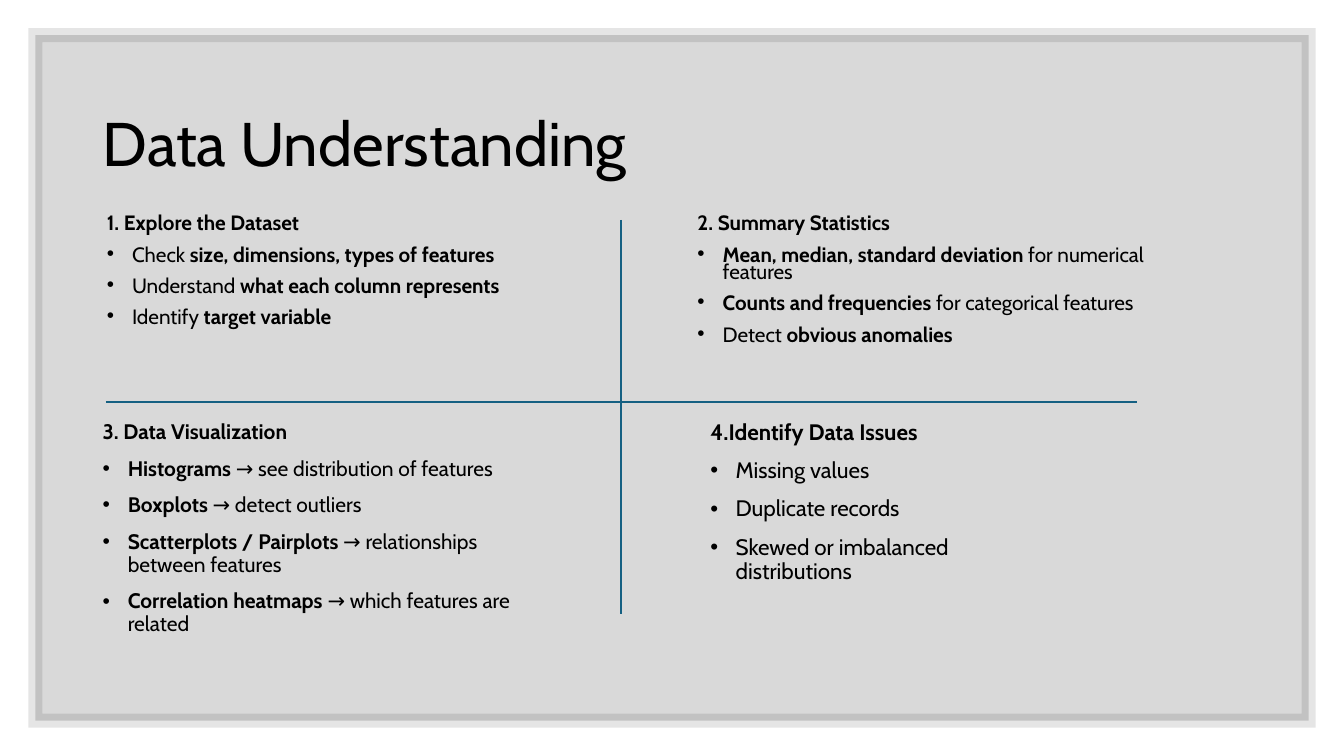
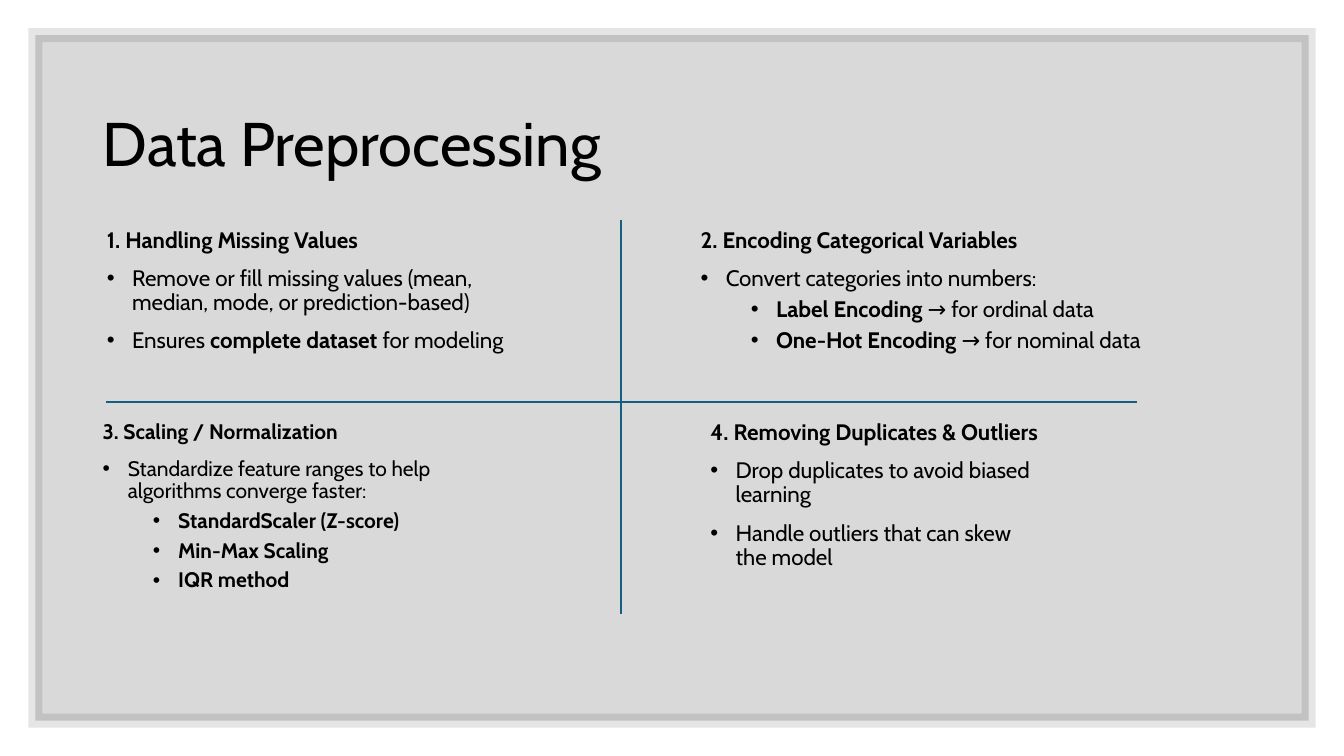
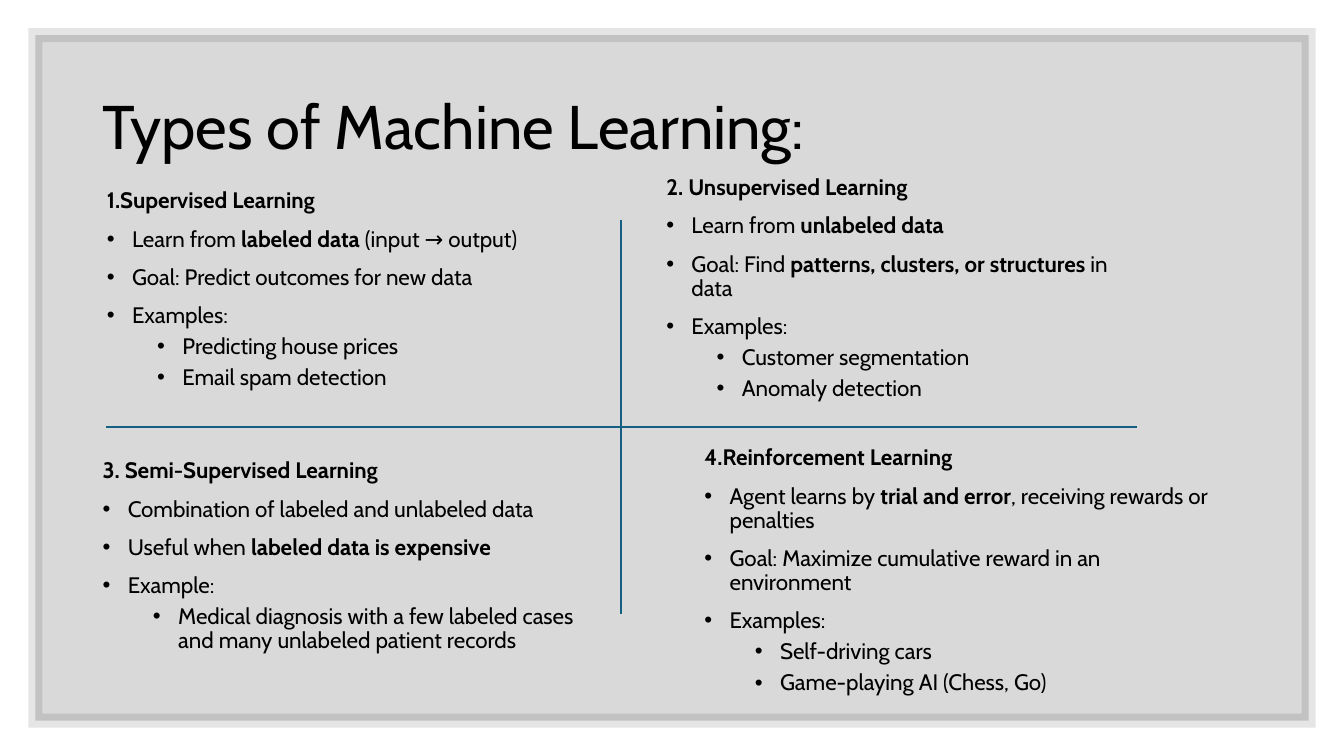
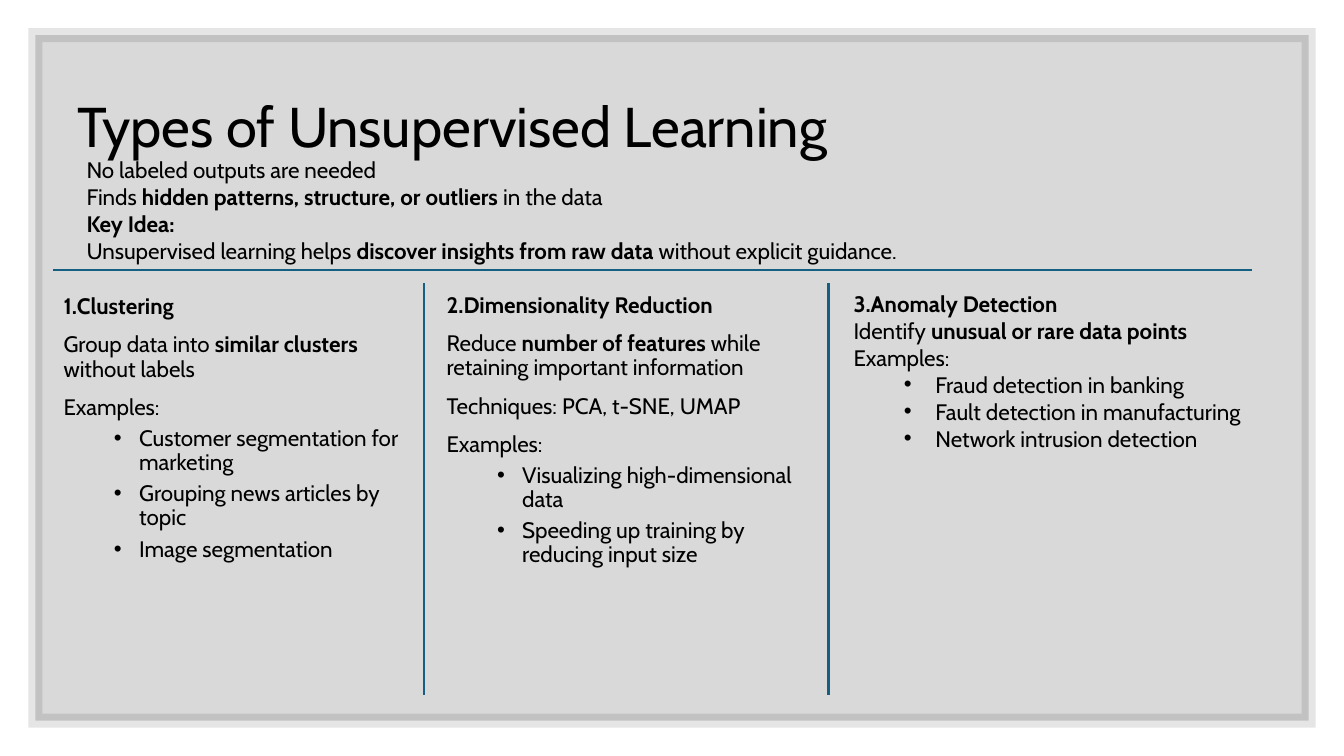
from dataclasses import dataclass

from pptx import Presentation
from pptx.dml.color import RGBColor
from pptx.enum.shapes import MSO_CONNECTOR, MSO_SHAPE
from pptx.enum.text import MSO_ANCHOR, MSO_AUTO_SIZE, PP_ALIGN
from pptx.oxml.ns import qn
from pptx.util import Pt

RECT, STRAIGHT = MSO_SHAPE.RECTANGLE, MSO_CONNECTOR.STRAIGHT
LEFT, TOP, MIDDLE = PP_ALIGN.LEFT, MSO_ANCHOR.TOP, MSO_ANCHOR.MIDDLE
NO_FIT = MSO_AUTO_SIZE.NONE
TWO_CONTENT = 3


@dataclass(frozen=True)
class Theme:
    font: str = "Cabin"
    ink: RGBColor = RGBColor(0, 0, 0)
    rule: RGBColor = RGBColor(0x15, 0x60, 0x82)
    title: float = 44
    small_title: float = 40
    text: float = 16
    compact: float = 15
    tight: float = 14.8
    rule_width: float = 1.5
    frame_width: float = 10
    frame_margin: float = 25.2
    fill_alpha: int = 15
    line_alpha: int = 10


@dataclass(frozen=True)
class Spacing:
    line: float = 0.9
    before: float = 10
    sub_before: float = 5
    sub_indent: float = 54
    hanging: float = 18


THEME = Theme()
NORMAL = Spacing()
TIGHT = Spacing(line=0.7)
PLAIN = Spacing(line=1, before=0, sub_before=0, sub_indent=58.5, hanging=22.5)

TITLE_BOX = (66.2, 52.6, 828, 104.4)


# Text: "- " starts a bullet, "-- " a second-level bullet, ** marks bold
def set_bullet(p, indent, hanging):
    pPr = p._p.get_or_add_pPr()
    pPr.set("marL", str(Pt(indent)))
    pPr.set("indent", str(-Pt(hanging)))
    if hanging:
        font = pPr.makeelement(qn("a:buFont"), {"typeface": "Arial"})
        bullet = pPr.makeelement(qn("a:buChar"), {"char": "•"})
        pPr.extend([font, bullet])
    else:
        pPr.append(pPr.makeelement(qn("a:buNone"), {}))


def add_runs(p, text, size):
    for i, part in enumerate(text.split("**")):
        if part:
            r = p.add_run()
            r.text = part
            r.font.name = THEME.font
            r.font.size = Pt(size)
            r.font.color.rgb = THEME.ink
            r.font.bold = i % 2 == 1


def write_text(sp, lines, size, spacing=NORMAL, anchor=TOP):
    tf = sp.text_frame
    tf.word_wrap = True
    tf.auto_size = NO_FIT
    tf.vertical_anchor = anchor
    for i, line in enumerate(lines):
        p = tf.add_paragraph() if i else tf.paragraphs[0]
        before = spacing.before
        if line.startswith("-- "):
            p.level = 1
            before = spacing.sub_before
            set_bullet(p, spacing.sub_indent, spacing.hanging)
        elif line.startswith("- "):
            set_bullet(p, spacing.hanging, spacing.hanging)
        else:
            set_bullet(p, 0, 0)
        p.alignment = LEFT
        p.line_spacing = spacing.line
        p.space_before = Pt(before if i else 0)
        p.space_after = Pt(0)
        add_runs(p, line.removeprefix("-- ").removeprefix("- "), size)


def place(sp, box):
    sp.left, sp.top, sp.width, sp.height = map(Pt, box)


def add_text(s, box, lines, size=THEME.text, spacing=NORMAL):
    sp = s.shapes.add_textbox(*map(Pt, box))
    write_text(sp, lines, size, spacing)


def fill_body(s, index, box, lines, size=THEME.text, spacing=NORMAL):
    sp = s.placeholders[index]
    place(sp, box)
    write_text(sp, lines, size, spacing)


# Shared parts of a slide
def add_frame(prs, s):
    m = Pt(THEME.frame_margin)
    sp = s.shapes.add_shape(RECT, m, m, prs.slide_width - 2 * m,
                            prs.slide_height - 2 * m)
    sp.shadow.inherit = False
    sp.fill.solid()
    sp.fill.fore_color.rgb = THEME.ink
    sp.line.color.rgb = THEME.ink
    sp.line.width = Pt(THEME.frame_width)
    spPr = sp.element.spPr
    alphas = (THEME.fill_alpha, THEME.line_alpha)
    for color, alpha in zip(list(spPr.iter(qn("a:srgbClr"))), alphas):
        color.append(color.makeelement(qn("a:alpha"), {"val": str(alpha * 1000)}))
    ln = spPr.find(qn("a:ln"))
    ln.append(ln.makeelement(qn("a:miter"), {"lim": "800000"}))
    # Behind the placeholders
    s.shapes.element.insert(2, sp.element)


def add_rule(s, x1, y1, x2, y2):
    line = s.shapes.add_connector(STRAIGHT, Pt(x1), Pt(y1), Pt(x2), Pt(y2))
    line.line.color.rgb = THEME.rule
    line.line.width = Pt(THEME.rule_width)
    spPr = line.element.spPr
    spPr.append(spPr.makeelement(qn("a:effectLst"), {}))


def add_slide(prs, title, box=TITLE_BOX, size=THEME.title, spacing=NORMAL):
    s = prs.slides.add_slide(prs.slide_layouts[TWO_CONTENT])
    add_frame(prs, s)
    place(s.shapes.title, box)
    write_text(s.shapes.title, [title], size, spacing, MIDDLE)
    return s


def add_cross(s, y):
    add_rule(s, 75.6, y, 812.2, y)
    add_rule(s, 443.5, 157, 443.5, 438.5)


# Slides
def understanding_slide(prs):
    s = add_slide(prs, "Data Understanding")
    fill_body(s, 1, (69.1, 151.2, 318.2, 132.5), [
        "**1. Explore the Dataset**",
        "- Check **size, dimensions, types of features**",
        "- Understand **what each column represents**",
        "- Identify **target variable**",
    ], THEME.tight, TIGHT)
    fill_body(s, 2, (491, 151.2, 342.7, 122.4), [
        "**2. Summary Statistics**",
        "- **Mean, median, standard deviation** for numerical features",
        "- **Counts and frequencies** for categorical features",
        "- Detect **obvious anomalies**",
    ], THEME.tight, TIGHT)
    add_text(s, (66.2, 297.4, 318.2, 170.6), [
        "**3. Data Visualization**",
        "- **Histograms** → see distribution of features",
        "- **Boxplots** → detect outliers",
        "- **Scatterplots / Pairplots** → relationships between features",
        "- **Correlation heatmaps** → which features are related",
    ], THEME.compact)
    add_text(s, (500.4, 297.4, 250.6, 158.4), [
        "**4.Identify Data Issues**",
        "- Missing values",
        "- Duplicate records",
        "- Skewed or imbalanced distributions",
    ])
    add_cross(s, 287.3)


def preprocessing_slide(prs):
    s = add_slide(prs, "Data Preprocessing")
    fill_body(s, 1, (69.1, 159.8, 318.2, 132.5), [
        "**1. Handling Missing Values**",
        "- Remove or fill missing values (mean, median, mode, or prediction-based)",
        "- Ensures **complete dataset** for modeling",
    ])
    fill_body(s, 2, (493.2, 159.8, 342.7, 122.4), [
        "**2. Encoding Categorical Variables**",
        "- Convert categories into numbers:",
        "-- **Label Encoding** → for ordinal data",
        "-- **One-Hot Encoding** → for nominal data",
    ])
    add_text(s, (66.2, 297.4, 318.2, 170.6), [
        "**3. Scaling / Normalization**",
        "- Standardize feature ranges to help algorithms converge faster:",
        "-- **StandardScaler (Z-score)**",
        "-- **Min-Max Scaling**",
        "-- **IQR method**",
    ], THEME.compact)
    add_text(s, (500.4, 297.4, 250.6, 158.4), [
        "**4. Removing Duplicates & Outliers**",
        "- Drop duplicates to avoid biased learning",
        "- Handle outliers that can skew the model",
    ])
    add_cross(s, 287.3)


def learning_types_slide(prs):
    s = add_slide(prs, "Types of Machine Learning:", (66.2, 52.6, 828, 79.2))
    fill_body(s, 1, (69.1, 131.8, 318.2, 132.5), [
        "**1.Supervised Learning**",
        "- Learn from **labeled data** (input → output)",
        "- Goal: Predict outcomes for new data",
        "- Examples:",
        "-- Predicting house prices",
        "-- Email spam detection",
    ])
    fill_body(s, 2, (468.7, 122.4, 342.7, 122.4), [
        "**2. Unsupervised Learning**",
        "- Learn from **unlabeled data**",
        "- Goal: Find **patterns, clusters, or structures** in data",
        "- Examples:",
        "-- Customer segmentation",
        "-- Anomaly detection",
    ])
    add_text(s, (66.2, 324.7, 378, 170.6), [
        "**3. Semi-Supervised Learning**",
        "- Combination of labeled and unlabeled data",
        "- Useful when **labeled data is expensive**",
        "- Example:",
        "-- Medical diagnosis with a few labeled cases and many unlabeled patient records",
    ])
    add_text(s, (496.1, 315.4, 386.6, 158.4), [
        "**4.Reinforcement Learning**",
        "- Agent learns by **trial and error**, receiving rewards or penalties",
        "- Goal: Maximize cumulative reward in an environment",
        "- Examples:",
        "-- Self-driving cars",
        "-- Game-playing AI (Chess, Go)",
    ])
    add_cross(s, 305.3)


def unsupervised_slide(prs):
    s = add_slide(prs, "Types of Unsupervised Learning",
                  (48.2, 37.4, 828, 104.4), THEME.small_title, PLAIN)
    fill_body(s, 1, (38.2, 207.4, 262.1, 298.8), [
        "**1.Clustering**",
        "Group data into **similar clusters** without labels",
        "Examples:",
        "-- Customer segmentation for marketing",
        "-- Grouping news articles by topic",
        "-- Image segmentation",
    ])
    fill_body(s, 2, (311.8, 206.6, 265, 298.8), [
        "**2.Dimensionality Reduction**",
        "Reduce **number of features** while retaining important information",
        "Techniques: PCA, t-SNE, UMAP",
        "Examples:",
        "-- Visualizing high-dimensional data",
        "-- Speeding up training by reducing input size",
    ])
    add_text(s, (602.6, 203.8, 292, 143.3), [
        "**3.Anomaly Detection**",
        "Identify **unusual or rare data points**",
        "Examples:",
        "-- Fraud detection in banking",
        "-- Fault detection in manufacturing",
        "-- Network intrusion detection",
    ], spacing=PLAIN)
    add_text(s, (54.7, 108, 863.3, 85), [
        "No labeled outputs are needed",
        "Finds **hidden patterns, structure, or outliers** in the data",
        "**Key Idea:**",
        "Unsupervised learning helps **discover insights from raw data** "
        "without explicit guidance.",
    ], spacing=PLAIN)
    for x in (303.1, 591.8):
        add_rule(s, x, 202.3, x, 496.1)
    add_rule(s, 38.2, 193, 894.2, 193)


def main():
    prs = Presentation()
    prs.slide_width, prs.slide_height = Pt(960), Pt(540)
    understanding_slide(prs)
    preprocessing_slide(prs)
    learning_types_slide(prs)
    unsupervised_slide(prs)
    prs.save("out.pptx")


if __name__ == "__main__":
    main()
